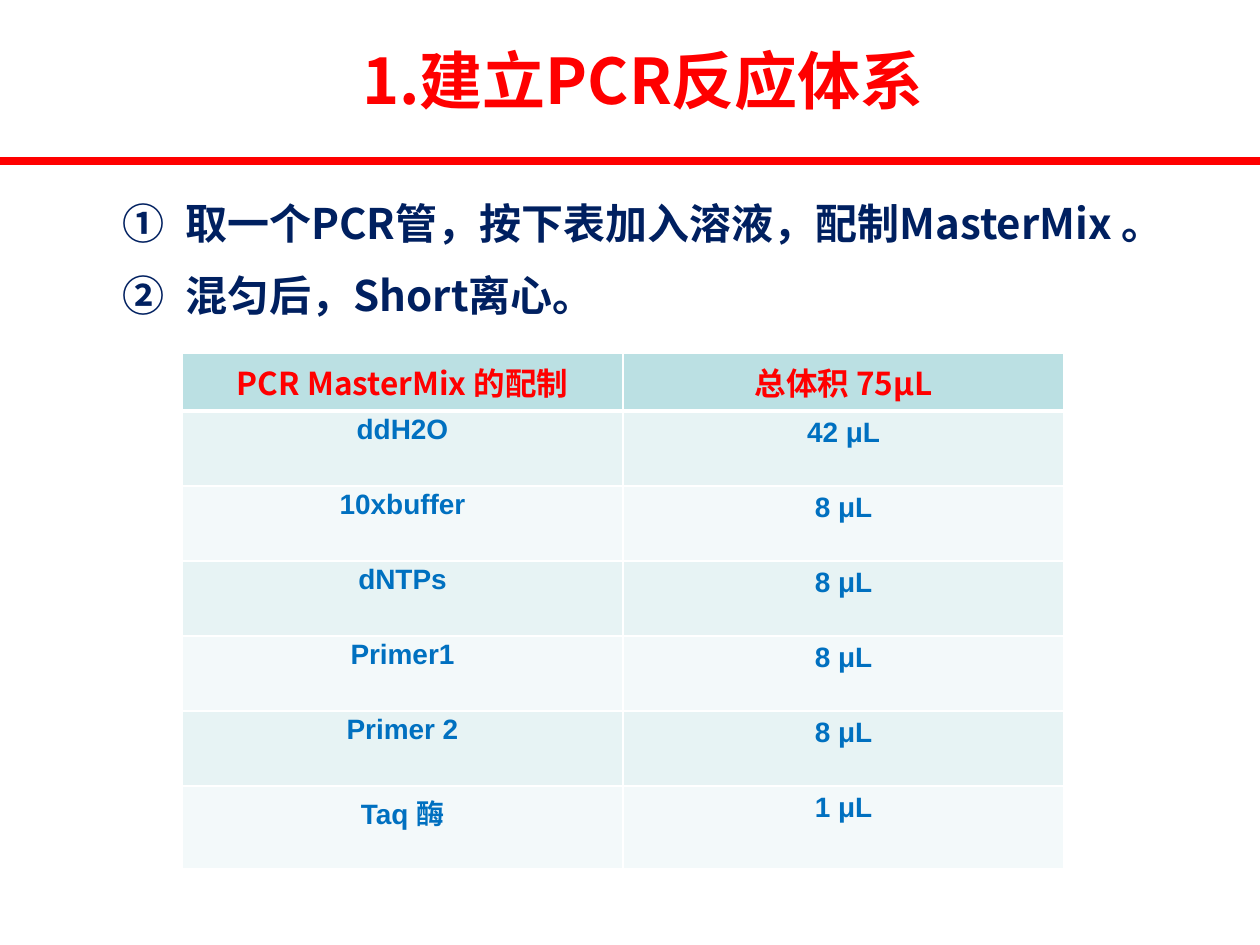
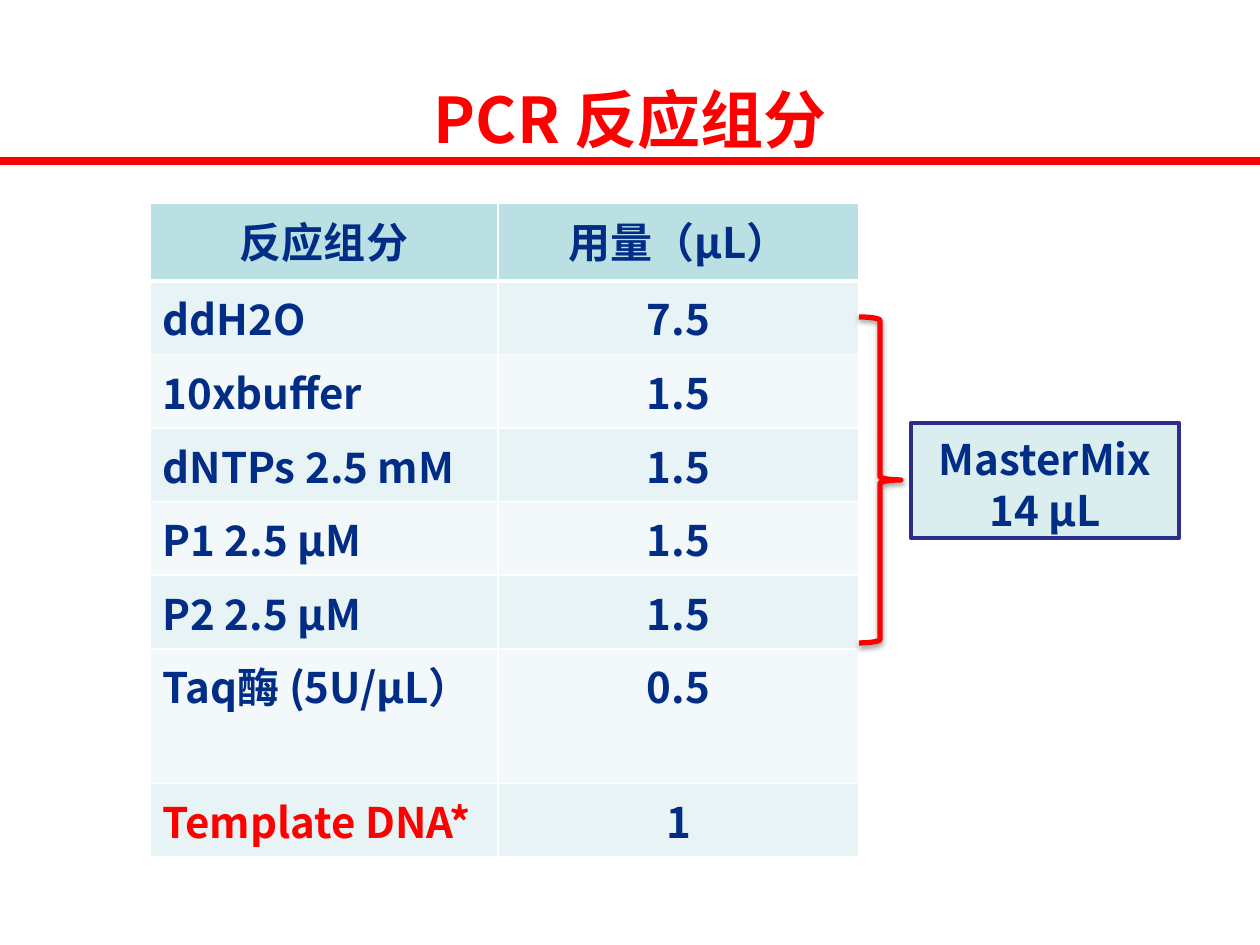
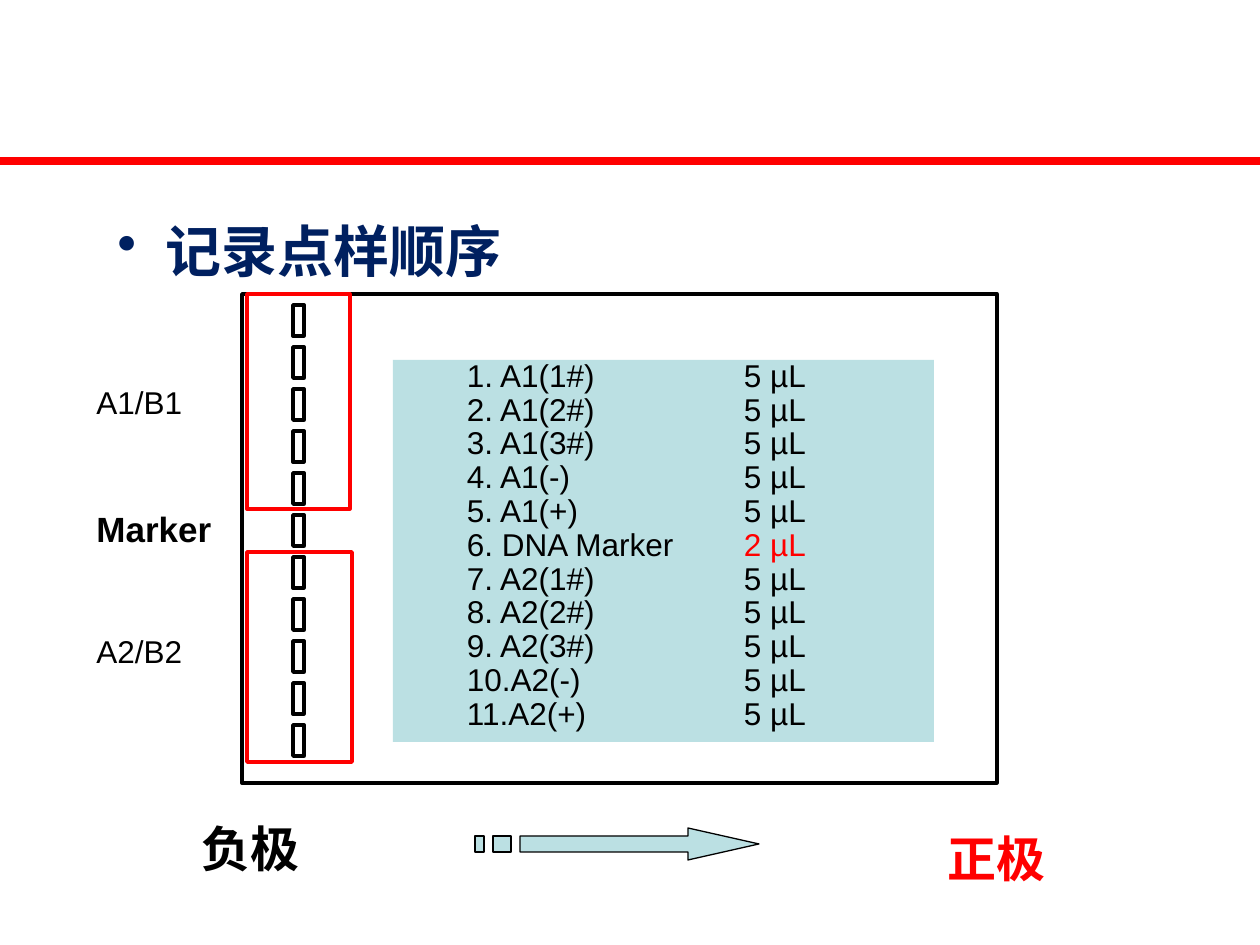
from lxml import etree
from pptx import Presentation
from pptx import util as u
from pptx.dml.color import RGBColor
from pptx.enum import shapes, text
from pptx.oxml.ns import qn

SCALE = 914400 / 126
SANS, HAN = "Arial", "Noto Sans CJK SC"
RED = RGBColor(255, 0, 0)
BLACK = RGBColor(0, 0, 0)
WHITE = RGBColor(255, 255, 255)
NAVY = RGBColor(0x00, 0x20, 0x60)
INK = RGBColor(0x01, 0x2D, 0x86)
BLUE = RGBColor(0x00, 0x70, 0xC0)
EDGE = RGBColor(0x2D, 0x2D, 0x8A)
TEAL = RGBColor(0xBB, 0xE0, 0xE3)
PALE = RGBColor(0xDA, 0xED, 0xEF)
BANDS = [RGBColor(0xE7, 0xF3, 0xF4), RGBColor(0xF3, 0xF9, 0xFA)]
LEFT, MID = text.PP_ALIGN.LEFT, text.PP_ALIGN.CENTER
RECT = shapes.MSO_SHAPE.RECTANGLE

STEPS = ["取一个PCR管，按下表加入溶液，配制MasterMix 。", "混匀后，Short离心。"]
MIX = [
    ("PCR MasterMix 的配制", "总体积 75μL"),
    ("ddH2O", "42 μL"),
    ("10xbuffer", "8 μL"),
    ("dNTPs", "8 μL"),
    ("Primer1", "8 μL"),
    ("Primer 2", "8 μL"),
    ("Taq 酶", "1 μL"),
]
PARTS = [
    ("反应组分", "用量（µL）"),
    ("ddH2O", "7.5"),
    ("10xbuffer", "1.5"),
    ("dNTPs 2.5 mM", "1.5"),
    ("P1 2.5 µM", "1.5"),
    ("P2 2.5 µM", "1.5"),
    ("Taq酶 (5U/µL）", "0.5"),
    ("Template DNA*", "1"),
]
LANES = [
    "1. A1(1#)", "2. A1(2#)", "3. A1(3#)", "4. A1(-)", "5. A1(+)", "6. DNA Marker",
    "7. A2(1#)", "8. A2(2#)", "9. A2(3#)", "10.A2(-)", "11.A2(+)",
]
LABELS = [
    ("A1/B1", (84, 377, 126, 50), dict(size=18)),
    ("Marker", (84, 501, 158, 55), dict(size=20, bold=True)),
    ("A2/B2", (84, 626, 126, 50), dict(size=18)),
    ("负极", (189, 808, 126, 72), dict(size=28, bold=True, font=HAN, lead=36)),
    ("正极", (935, 818, 136, 72), dict(size=28, bold=True, font=HAN, lead=36, color=RED)),
]
ARROW = [
    [(688, 828), (688, 836), (520, 836), (520, 852), (688, 852), (688, 860), (759, 844)],
    [(493, 836), (493, 852), (511, 852), (511, 836)],
    [(475, 836), (475, 852), (484, 852), (484, 836)],
]


def px(n):
    return u.Emu(round(n * SCALE))


def sub(node, tag, **attrs):
    return etree.SubElement(node, qn(tag), {k: str(v) for k, v in attrs.items()})


def write(frame, paras, size=18, color=BLACK, font=SANS, bold=False, align=LEFT,
          lead=None, gap=0, mark=None, hang=0, tab=None):
    frame.word_wrap = True
    for i, para in enumerate(paras):
        p = frame.paragraphs[0] if i == 0 else frame.add_paragraph()
        props = p._p.get_or_add_pPr()
        if mark:
            props.set("marL", str(px(hang)))
            props.set("indent", str(-px(hang)))
            if mark == "•":
                sub(props, "a:buChar", char=mark)
            else:
                sub(props, "a:buAutoNum", type=mark)
        if tab:
            sub(sub(props, "a:tabLst"), "a:tab", pos=px(tab), algn="l")
        p.alignment = align
        if lead:
            p.line_spacing = lead if lead < 2 else u.Pt(lead)
        p.space_before = u.Pt(gap if i else 0)
        for words, tint in [(para, color)] if isinstance(para, str) else para:
            r = p.add_run()
            r.text = words
            r.font.size, r.font.bold, r.font.name = u.Pt(size), bold, font
            r.font.color.rgb = tint
            sub(r._r.get_or_add_rPr(), "a:ea", typeface=HAN)


def label(slide, paras, at, top=None, **fmt):
    frame = slide.shapes.add_textbox(*map(px, at)).text_frame
    if top:
        frame.margin_top = px(top)
    write(frame, paras, **fmt)


def draw(shape, fill=None, line=None, width=2):
    shape.shadow.inherit = False
    if fill is None:
        shape.fill.background()
    else:
        shape.fill.solid()
        shape.fill.fore_color.rgb = fill
    if line is None:
        shape.line.fill.background()
    else:
        shape.line.color.rgb = line
        shape.line.width = u.Pt(width)
    return shape


def box(slide, at, kind=RECT, **look):
    return draw(slide.shapes.add_shape(kind, *map(px, at)), **look)


def page(deck, title=None, at=None):
    slide = deck.slides.add_slide(deck.slide_layouts[5 if title else 6])
    rule = slide.shapes.add_connector(shapes.MSO_CONNECTOR.STRAIGHT, *map(px, (0, 161, 1260, 161)))
    rule.line.color.rgb, rule.line.width = RED, u.Pt(4.5)
    sub(rule._element.spPr, "a:effectLst")
    if title:
        head = slide.shapes.title
        head.left, head.top, head.width, head.height = map(px, at)
        head.text_frame.vertical_anchor = text.MSO_ANCHOR.MIDDLE
        write(head.text_frame, [title], size=36, color=RED, font=HAN, bold=True, align=MID)
    return slide


def grid(slide, rows, left, top, wide, high, style):
    table = slide.shapes.add_table(len(rows), len(wide), px(left), px(top),
                                   px(sum(wide)), px(sum(high))).table
    table.first_row = table.horz_banding = False
    for col, w in zip(table.columns, wide):
        col.width = px(w)
    for i, (row, h) in enumerate(zip(rows, high)):
        table.rows[i].height = px(h)
        for j, words in enumerate(row):
            cell = table.cell(i, j)
            props = cell._tc.get_or_add_tcPr()
            for side in "LRTB":
                thick = (i, side) in [(0, "B"), (1, "T")]
                edge = sub(props, "a:ln" + side, w=u.Pt(3 if thick else 1))
                sub(sub(edge, "a:solidFill"), "a:srgbClr", val=WHITE)
            cell.fill.solid()
            cell.fill.fore_color.rgb = BANDS[(i - 1) % 2] if i else TEAL
            write(cell.text_frame, [words], bold=True, **style(i, j))


def mix_style(i, j):
    if i == 0:
        return dict(size=18, color=RED, font=HAN, align=MID)
    return dict(size=16, color=BLUE, align=MID, lead=0.9 if j == 0 and i < 6 else None)


def part_style(i, j):
    return dict(size=24, font=HAN, color=RED if (i, j) == (7, 0) else INK,
                align=MID if i == 0 or j else LEFT)


def system(deck):
    slide = page(deck, "1.建立PCR反应体系", (76, 0, 1134, 158))
    label(slide, STEPS, (110, 188, 1134, 150), top=10, size=24, color=NAVY, font=HAN,
          bold=True, lead=28.8, gap=12, mark="circleNumDbPlain", hang=63)
    grid(slide, MIX, 182, 353, [441, 441], [58] + [75] * 5 + [83], mix_style)


def recipe(deck):
    slide = page(deck, "PCR 反应组分", (63, 39, 1134, 158))
    grid(slide, PARTS, 150, 203, [348, 361], [78] + [73] * 5 + [134, 73], part_style)
    brace = box(slide, (859, 317, 42, 326), shapes.MSO_SHAPE.RIGHT_BRACE, line=RED, width=3)
    glow = sub(brace._element.spPr.find(qn("a:effectLst")), "a:outerShdw", blurRad=u.Pt(3.1),
               dist=u.Pt(1.6), dir=5400000, rotWithShape=0)
    sub(sub(glow, "a:srgbClr", val=BLACK), "a:alpha", val=38000)
    total = box(slide, (911, 423, 268, 115), fill=PALE, line=EDGE, width=2.5)
    total.text_frame.margin_top = px(14)
    write(total.text_frame, ["MasterMix", "14 µL"], size=24, color=INK, font=HAN,
          bold=True, align=MID, lead=28.8)


def gel(deck):
    slide = page(deck)
    label(slide, ["记录点样顺序"], (105, 204, 1092, 84), size=32, color=NAVY, bold=True,
          lead=42, mark="•", hang=48)
    box(slide, (242, 294, 755, 489), line=BLACK)
    for i in range(len(LANES)):
        box(slide, (293, 305 + 42 * i, 11, 31), line=BLACK)
    for at in [(247, 294, 103, 215), (247, 552, 105, 210)]:
        box(slide, at, line=RED)
    for words, at, fmt in LABELS:
        label(slide, [words], at, **fmt)
    pen = None
    for ring in ARROW:
        if pen is None:
            pen = slide.shapes.build_freeform(*ring[0], scale=SCALE)
        else:
            pen.move_to(*ring[0])
        pen.add_line_segments(ring[1:], close=True)
    draw(pen.convert_to_shape(), fill=TEAL, line=BLACK, width=0.75)
    panel = box(slide, (393, 360, 541, 382), fill=TEAL).text_frame
    panel.margin_left = px(74)
    panel.vertical_anchor = text.MSO_ANCHOR.TOP
    lines = [[(lane + "\t", BLACK), ("2 µL", RED) if "Marker" in lane else ("5 µL", BLACK)]
             for lane in LANES]
    write(panel, lines, size=18, lead=0.7, gap=4.2, tab=277)


def main():
    deck = Presentation()
    deck.slide_width, deck.slide_height = px(1260), px(945)
    for build in (system, recipe, gel):
        build(deck)
    deck.save("out.pptx")


if __name__ == "__main__":
    main()
